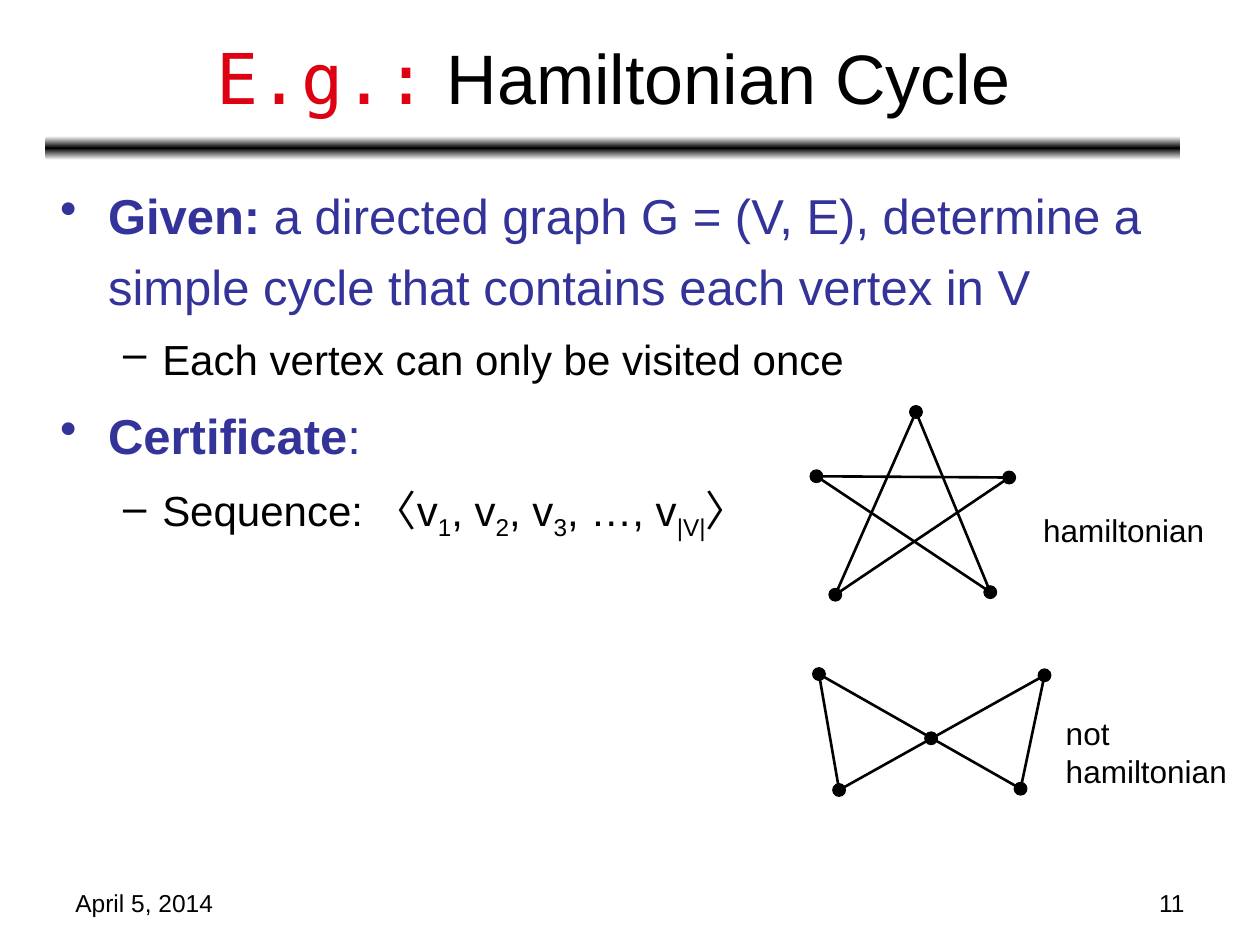
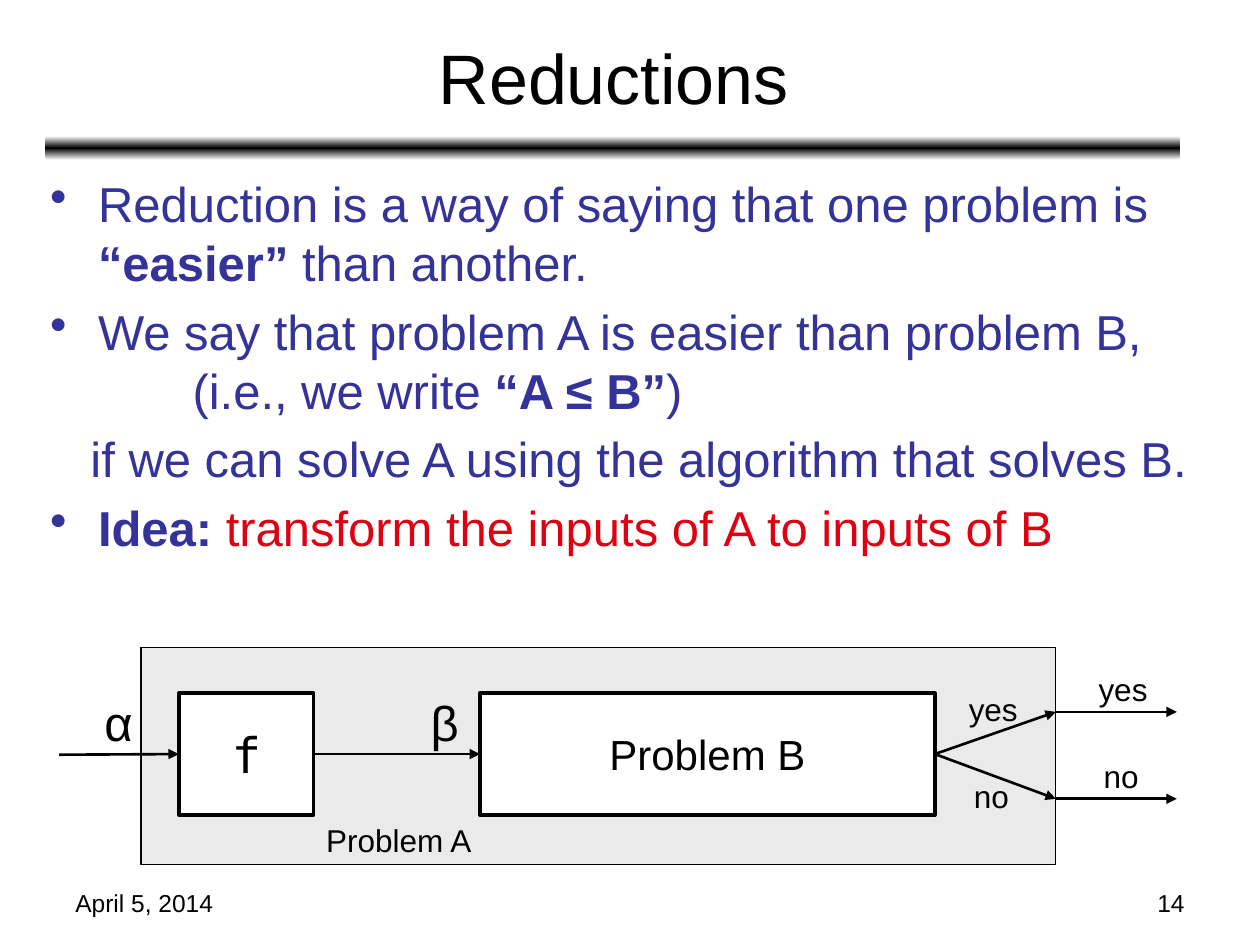
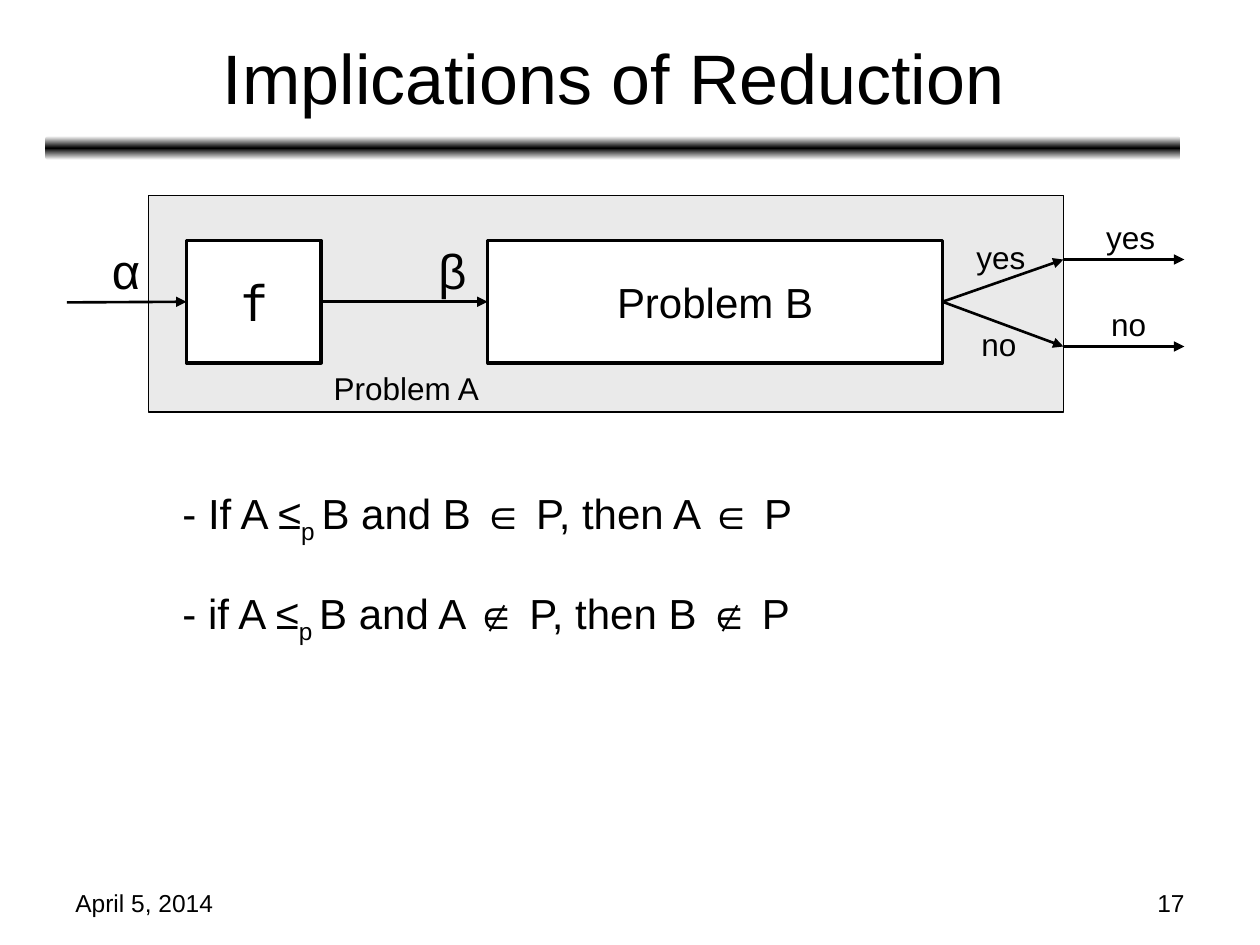
from copy import deepcopy

from pptx import Presentation
from pptx.dml.color import RGBColor
from pptx.enum.shapes import MSO_CONNECTOR, MSO_SHAPE
from pptx.enum.text import MSO_ANCHOR, PP_ALIGN
from pptx.oxml.ns import qn
from pptx.oxml.xmlchemy import OxmlElement
from pptx.util import Inches, Pt

COLORS = {"black": "000000", "white": "FFFFFF", "blue": "333399",
          "red": "DD0111", "panel": "EAEAEA"}
SANS, MONO = "Arial", "DejaVu Sans Mono"
DATE = "April 5, 2014"

# Run formats
BOLD = {"bold": True}
SUB = {"baseline": -25}
RED = {"color": "red"}

# Paragraph formats
POINT = {"size": 28, "color": "blue", "left": 0.38, "hanging": 0.38, "bullet": "•", "before": 5.6}
LOOSE_POINT = {**POINT, "spacing": 1.2}
LOOSE_DASH = {"size": 24, "left": 0.81, "hanging": 0.31, "bullet": "–",
              "spacing": 1.2, "before": 4.8}
PLAIN = {"size": 28, "color": "blue"}
RULE = {"size": 24, "left": 0.97}

# Slide content: each paragraph is (runs, format), each run (text, format)
CYCLE_BODY = [
    ([("Given:", BOLD), (" a directed graph G = (V, E), determine a simple cycle "
                         "that contains each vertex in V", {})], LOOSE_POINT),
    ("Each vertex can only be visited once", LOOSE_DASH),
    ([("Certificate", BOLD), (":", {})], LOOSE_POINT),
    ([("Sequence: 〈v", {}), ("1", SUB), (", v", {}), ("2", SUB), (", v", {}), ("3", SUB),
      (", …, v", {}), ("|V|", SUB), ("〉", {})], LOOSE_DASH),
]
REDUCTION_BODY = [
    ([("Reduction is a way of saying that one problem is ", {}), ("“easier”", BOLD),
      (" than another.", {})], POINT),
    ("We say that problem A is easier than problem B,", POINT),
    ([("(i.e., we write ", {}), ("“A ≤ B”", BOLD), (")", {})], {**PLAIN, "left": 1.13}),
    ("if we can solve A using the algorithm that solves B.",
     {**PLAIN, "left": 0.32, "before": 5.6}),
    ([("Idea: ", BOLD), ("transform the inputs of A to inputs of B", RED)], POINT),
]
IMPLICATION_BODY = [
    ([("- If A ≤", {}), ("p ", SUB), ("B and B ∈ P, then A ∈ P", {})], RULE),
    ([("- if A ≤", {}), ("p ", SUB), ("B and A ∉ P, then B ∉ P", {})],
     {**RULE, "spacing": 1.6, "before": 4.8}),
]

# Graphs: vertex centres and the pairs of vertices that are joined
STAR = {
    "vertices": [(7.27, 3.27), (8.01, 3.79), (6.48, 3.78), (7.86, 4.7), (6.63, 4.72)],
    "edges": [(2, 1), (0, 3), (0, 4), (1, 4), (2, 3)],
}
BOW_TIE = {
    "vertices": [(6.5, 5.35), (8.29, 5.36), (6.66, 6.27), (8.1, 6.26), (7.39, 5.86)],
    "edges": [(0, 3), (1, 2), (0, 2), (1, 3)],
}
DOT = 0.1

# Reduction diagram, measured from the corner of its panel
PANEL_SIZE = (7.26, 1.72)
F_BOX = (0.3, 0.36, 1.07, 0.97)
B_BOX = (2.69, 0.36, 3.61, 0.97)
MIDDLE, YES, NO = 0.85, 0.51, 1.2
DIAGRAM_LABELS = [
    ("α", (-0.39, 0.31, 0.45, 0.57), 28),
    ("β", (2.2, 0.31, 0.41, 0.57), 28),
    ("yes", (6.47, 0.29, 0.59, 0.4), 18),
    ("no", (6.51, 0.98, 0.48, 0.4), 18),
    ("yes", (7.5, 0.13, 0.59, 0.4), 18),
    ("no", (7.54, 0.82, 0.48, 0.4), 18),
    ("Problem A", (1.37, 1.33, 1.37, 0.4), 18),
]


def rgb(name):
    return RGBColor.from_string(COLORS[name])


def indent_paragraph(paragraph, left, hanging, bullet):
    properties = paragraph._p.get_or_add_pPr()
    properties.set("marL", str(Inches(left)))
    properties.set("indent", str(-Inches(hanging)))
    if bullet:
        mark = OxmlElement("a:buChar")
        mark.set("char", bullet)
        properties.append(mark)


def write_paragraph(paragraph, runs, size=18, color="black", font=SANS, align=PP_ALIGN.LEFT,
                    left=0, hanging=0, bullet=None, spacing=None, before=0):
    indent_paragraph(paragraph, left, hanging, bullet)
    paragraph.alignment = align
    if spacing:
        paragraph.line_spacing = spacing
    if before:
        paragraph.space_before = Pt(before)
    for text, style in [(runs, {})] if isinstance(runs, str) else runs:
        run = paragraph.add_run()
        run.text = text
        run.font.size = Pt(size)
        run.font.name = style.get("font", font)
        run.font.bold = style.get("bold", False)
        run.font.color.rgb = rgb(style.get("color", color))
        if "baseline" in style:
            run._r.get_or_add_rPr().set("baseline", str(style["baseline"] * 1000))


def write_text(shape, paragraphs, wrap=True, anchor=MSO_ANCHOR.TOP, **shared):
    """Fill a shape with a string or a list of (runs, format) paragraphs."""
    frame = shape.text_frame
    frame.word_wrap = wrap
    frame.vertical_anchor = anchor
    if isinstance(paragraphs, str):
        paragraphs = [(paragraphs, {})]
    for index, (runs, style) in enumerate(paragraphs):
        paragraph = frame.add_paragraph() if index else frame.paragraphs[0]
        options = {**shared, **style}
        if not index:
            options["before"] = 0
        write_paragraph(paragraph, runs, **options)


def add_text(slide, box, paragraphs, **options):
    write_text(slide.shapes.add_textbox(*map(Inches, box)), paragraphs, **options)


def add_box(slide, kind, box, fill, line_width):
    shape = slide.shapes.add_shape(kind, *map(Inches, box))
    shape.shadow.inherit = False
    shape.fill.solid()
    shape.fill.fore_color.rgb = rgb(fill)
    shape.line.color.rgb = rgb("black")
    shape.line.width = Pt(line_width)
    return shape


def add_line(slide, start, end, arrow=False):
    connector = slide.shapes.add_connector(MSO_CONNECTOR.STRAIGHT, *map(Inches, start + end))
    connector.line.color.rgb = rgb("black")
    connector.line.width = Pt(1.5)
    if arrow:
        head = OxmlElement("a:tailEnd")
        head.set("type", "triangle")
        connector.line._get_or_add_ln().append(head)
    connector._element.spPr.append(OxmlElement("a:effectLst"))
    return connector


def add_title_bar(slide):
    bar = slide.shapes.add_shape(MSO_SHAPE.ROUNDED_RECTANGLE,
                                 *map(Inches, (0.36, 1.08, 9.01, 0.19)))
    bar.shadow.inherit = False
    bar.line.fill.background()
    bar.fill.gradient()
    bar.fill.gradient_angle = 90
    stop_list = bar._element.spPr.find(".//" + qn("a:gsLst"))
    stop_list.append(deepcopy(stop_list[0]))
    stops = [(0, "white"), (0.5, "black"), (1, "white")]
    for stop, (position, color) in zip(bar.fill.gradient_stops, stops):
        stop.position = position
        stop.color.rgb = rgb(color)


def add_slide(presentation, title, number):
    """Start a slide with the shared bar, title, date and page number."""
    slide = presentation.slides.add_slide(presentation.slide_layouts[6])
    add_title_bar(slide)
    add_text(slide, (0.37, 0.11, 9, 0.99), [(title, {})], size=40,
             align=PP_ALIGN.CENTER, anchor=MSO_ANCHOR.MIDDLE)
    add_text(slide, (0.5, 7, 2.33, 0.35), DATE, size=14)
    add_text(slide, (7.17, 7, 2.33, 0.35), str(number), size=14, align=PP_ALIGN.RIGHT)
    return slide


def add_graph(slide, graph):
    vertices = graph["vertices"]
    for start, end in graph["edges"]:
        add_line(slide, vertices[start], vertices[end])
    for x, y in vertices:
        add_box(slide, MSO_SHAPE.OVAL, (x - DOT / 2, y - DOT / 2, DOT, DOT), "black", 0.75)


def add_reduction_diagram(slide, left, top):
    def place(x, y, *size):
        return (left + x, top + y, *size)

    # Panel and boxes
    add_box(slide, MSO_SHAPE.RECTANGLE, place(0, 0, *PANEL_SIZE), "panel", 0.75)
    f_box = add_box(slide, MSO_SHAPE.RECTANGLE, place(*F_BOX), "white", 2)
    b_box = add_box(slide, MSO_SHAPE.RECTANGLE, place(*B_BOX), "white", 2)
    centred = {"wrap": False, "anchor": MSO_ANCHOR.MIDDLE, "align": PP_ALIGN.CENTER}
    write_text(f_box, "f", size=28, font=MONO, **centred)
    write_text(b_box, "Problem B", size=24, **centred)

    # Arrows into f and on to problem B
    f_right, b_right = F_BOX[0] + F_BOX[2], B_BOX[0] + B_BOX[2]
    entry = add_line(slide, place(-0.65, MIDDLE), place(F_BOX[0], MIDDLE), arrow=True)
    entry.end_connect(f_box, 1)
    transfer = add_line(slide, place(f_right, MIDDLE), place(B_BOX[0], MIDDLE), arrow=True)
    transfer.begin_connect(f_box, 3)
    transfer.end_connect(b_box, 1)

    # Answers leave problem B, then the panel
    edge = PANEL_SIZE[0]
    for answer in (YES, NO):
        branch = add_line(slide, place(b_right, MIDDLE), place(edge, answer), arrow=True)
        branch.begin_connect(b_box, 3)
        add_line(slide, place(edge, answer), place(edge + 0.96, answer), arrow=True)

    for text, box, size in DIAGRAM_LABELS:
        add_text(slide, place(*box), text, size=size, wrap=False)


def main():
    presentation = Presentation()
    presentation.slide_width, presentation.slide_height = Inches(10), Inches(7.5)

    # Hamiltonian cycle
    slide = add_slide(presentation, [("E.g.:", {"font": MONO, "color": "red"}),
                                     (" Hamiltonian Cycle", {})], 11)
    add_text(slide, (0.38, 1.33, 9, 5.55), CYCLE_BODY)
    add_graph(slide, STAR)
    add_graph(slide, BOW_TIE)
    add_text(slide, (8.18, 4.01, 1.48, 0.4), "hamiltonian", wrap=False)
    add_text(slide, (8.36, 5.62, 1.48, 0.7), [("not", {}), ("hamiltonian", {})], wrap=False)

    # Reductions
    slide = add_slide(presentation, "Reductions", 14)
    add_text(slide, (0.3, 1.33, 9.5, 5.55), REDUCTION_BODY)
    add_reduction_diagram(slide, 1.12, 5.14)

    # Implications of reduction
    slide = add_slide(presentation, "Implications of Reduction", 17)
    add_text(slide, (0.38, 3.82, 9, 3.41), IMPLICATION_BODY)
    add_reduction_diagram(slide, 1.18, 1.55)

    presentation.save("out.pptx")


if __name__ == "__main__":
    main()
